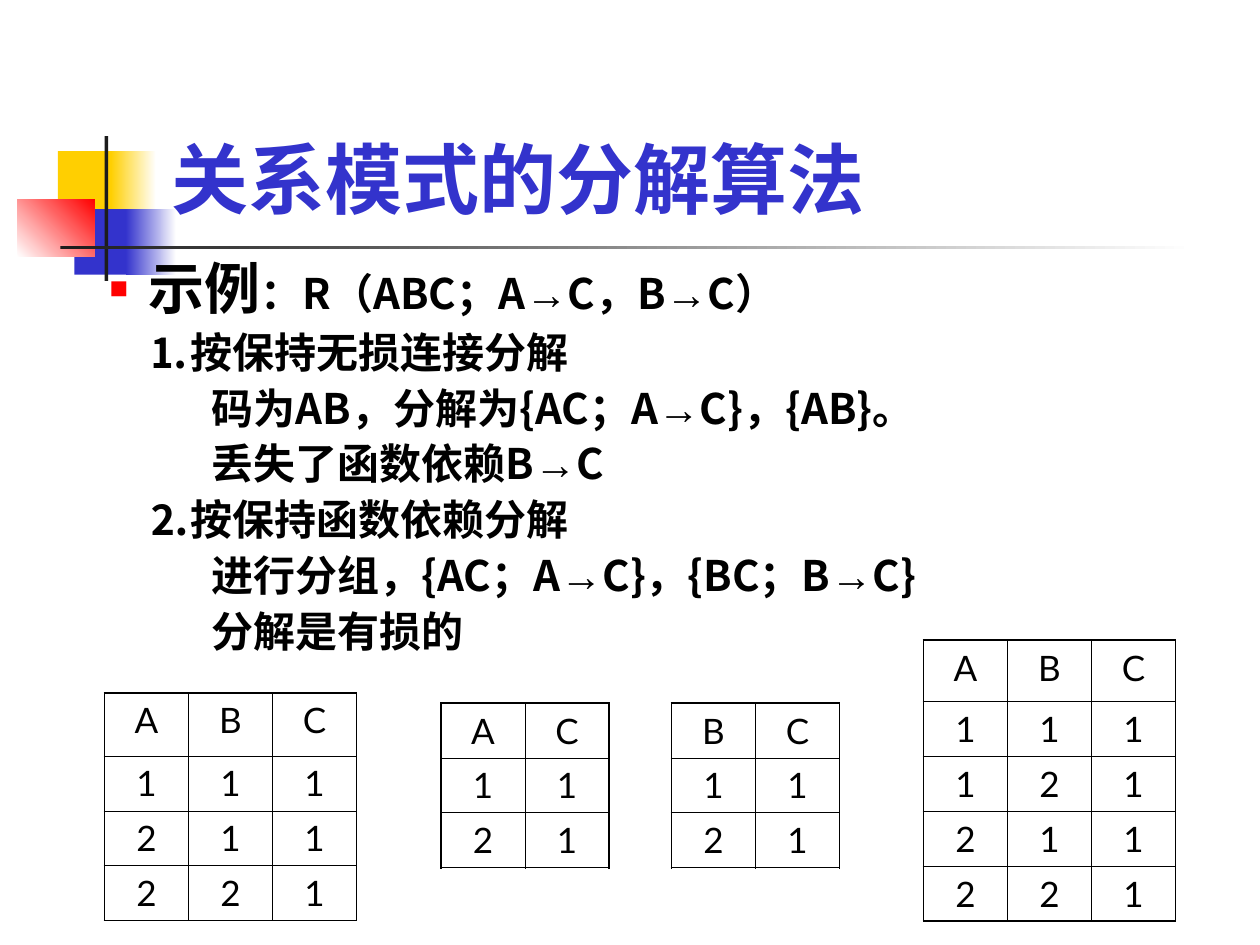
"""Build a slide on decomposing relation schemas, with four example tables."""
from dataclasses import dataclass

from lxml.etree import SubElement as Sub
from pptx import Presentation
from pptx.dml.color import RGBColor
from pptx.enum.shapes import MSO_SHAPE as Shape
from pptx.enum.text import MSO_ANCHOR as Anchor, MSO_AUTO_SIZE as Fit, PP_ALIGN as Align
from pptx.oxml.ns import qn
from pptx.util import Inches, Pt

SANS, HAN, ARROW = "Lato", "Noto Sans CJK SC", "→"
BLACK, WHITE, GRAY = "000000", "FFFFFF", "1C1C1C"
GOLD, BLUE, RED = "FFCF01", "3333CC", "FF0000"
COL, ROW = 2 / 3, 0.43


@dataclass
class Block:
    left: float
    top: float
    width: float
    height: float
    start: str
    end: str = ""
    angle: int = 0


@dataclass
class Grid:
    left: float
    top: float
    head: float
    rows: str


BLOCKS = [
    Block(0.46, 1.2, 0.48, 0.52, GOLD),
    Block(0.88, 1.2, 0.36, 0.52, GOLD, WHITE),
    Block(0.59, 1.66, 0.46, 0.52, BLUE),
    Block(1, 1.66, 0.4, 0.52, BLUE, WHITE),
    Block(0.14, 1.58, 0.61, 0.46, WHITE, RED, 45),
    Block(0.83, 1.08, 0.03, 1.15, GRAY),
    Block(0.48, 1.95, 9, 0.03, GRAY, WHITE),
]
GRIDS = [
    Grid(0.83, 5.5, 0.5, "ABC 111 211 221"),
    Grid(3.5, 5.58, ROW, "AC 11 21"),
    Grid(5.33, 5.58, ROW, "BC 11 21"),
    Grid(7.33, 5.08, 0.49, "ABC 111 121 211 221"),
]
LEAD = "示例"
LINES = [
    "：R（ABC；A→C，B→C）",
    "\t⒈按保持无损连接分解",
    "\t\t码为AB，分解为{AC；A→C}，{AB}。",
    "\t\t丢失了函数依赖B→C",
    "\t⒉按保持函数依赖分解",
    "\t\t进行分组，{AC；A→C}，{BC；B→C}",
    "\t\t分解是有损的",
]


def color(code: str) -> RGBColor:
    return RGBColor.from_string(code)


def style(font, name: str, size: float, code: str, bold: bool = False) -> None:
    font.name, font.size, font.bold = name, Pt(size), bold
    font.color.rgb = color(code)


def place(shape, left: float, top: float, width: float, height: float) -> None:
    shape.left, shape.top = Inches(left), Inches(top)
    shape.width, shape.height = Inches(width), Inches(height)


def draw_block(slide, block: Block) -> None:
    box = [Inches(n) for n in (block.left, block.top, block.width, block.height)]
    shape = slide.shapes.add_shape(Shape.RECTANGLE, *box)
    shape.shadow.inherit = False
    shape.line.fill.background()
    if block.end:
        shape.fill.gradient()
        shape.fill.gradient_angle = block.angle
        for stop, code in zip(shape.fill.gradient_stops, (block.start, block.end)):
            stop.color.rgb = color(code)
    else:
        shape.fill.solid()
        shape.fill.fore_color.rgb = color(block.start)
    slide.shapes.title.element.addprevious(shape.element)


def set_list(para, first: bool) -> None:
    props = para._p.get_or_add_pPr()
    props.set("marL", str(Inches(0.81)))
    props.set("indent", str(Inches(-0.31)))
    if first:
        Sub(Sub(props, qn("a:buClr")), qn("a:srgbClr"), val=RED)
        Sub(props, qn("a:buSzPct"), val="55000")
        Sub(props, qn("a:buChar"), char="■")
    else:
        Sub(props, qn("a:buNone"))
    tabs = Sub(props, qn("a:tabLst"))
    for stop in range(8):
        Sub(tabs, qn("a:tab"), pos=str(Inches(stop + first)), algn="l")


def add_run(para, text: str):
    run = para.add_run()
    run.text = text
    return run.font


def fill_body(frame) -> None:
    frame.auto_size = Fit.NONE
    for num, line in enumerate(LINES):
        first = num == 0
        para = frame.paragraphs[0] if first else frame.add_paragraph()
        para.level = 1
        set_list(para, first)
        para.line_spacing = 0.9
        para.space_before = Pt(0 if first else 6)
        style(para.font, HAN, 24, BLACK, True)
        if first:
            add_run(para, LEAD).size = Pt(32)
        for spot, part in enumerate(line.split(ARROW)):
            if spot:
                add_run(para, ARROW).name = "Arial"
            add_run(para, part)


def set_edge(cell, side: str, outer: bool) -> None:
    width = Pt(1.08 if outer else 0.45)
    line = Sub(cell._tc.get_or_add_tcPr(), qn(f"a:ln{side}"), w=str(width))
    Sub(Sub(line, qn("a:solidFill")), qn("a:srgbClr"), val=BLACK)


def draw_grid(slide, grid: Grid) -> None:
    rows = grid.rows.split()
    high, wide = len(rows), len(rows[0])
    tall = grid.head + ROW * (high - 1)
    box = [Inches(n) for n in (grid.left, grid.top, COL * wide, tall)]
    table = slide.shapes.add_table(high, wide, *box).table
    table.first_row = table.horz_banding = False
    for r, row in enumerate(rows):
        table.rows[r].height = Inches(ROW if r else grid.head)
        for c, text in enumerate(row):
            cell = table.cell(r, c)
            cell.text = text
            para = cell.text_frame.paragraphs[0]
            para.alignment = Align.CENTER
            style(para.font, SANS, 20, BLACK)
            set_edge(cell, "L", c == 0)
            set_edge(cell, "R", c == wide - 1)
            set_edge(cell, "T", r == 0)
            set_edge(cell, "B", r == high - 1)
            cell.fill.background()


def main() -> None:
    deck = Presentation()
    deck.slide_width, deck.slide_height = Inches(10), Inches(7.5)
    slide = deck.slides.add_slide(deck.slide_layouts[1])
    title, body = slide.placeholders
    for block in BLOCKS:
        draw_block(slide, block)
    place(title, 1.26, 0.23, 8.52, 1.6)
    title.text_frame.text = "关系模式的分解算法"
    title.text_frame.vertical_anchor = Anchor.BOTTOM
    title.text_frame.auto_size = Fit.NONE
    para = title.text_frame.paragraphs[0]
    para.alignment = Align.LEFT
    style(para.font, SANS, 44, BLUE, True)
    place(body, 0.27, 2.02, 9.52, 3.39)
    fill_body(body.text_frame)
    for grid in GRIDS:
        draw_grid(slide, grid)
    deck.save("out.pptx")


if __name__ == "__main__":
    main()
